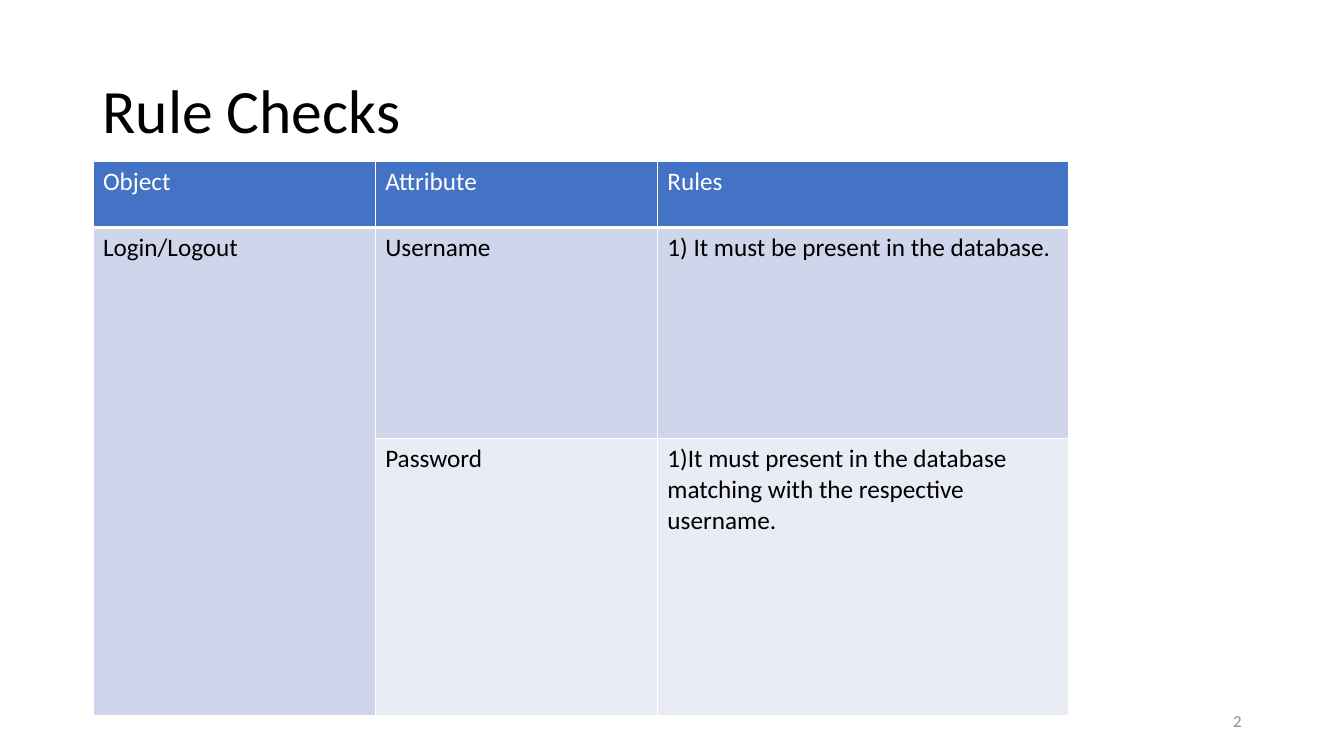
"""Build the Rule Checks slide with its table of login rules."""
from lxml.etree import SubElement
from pptx import Presentation
from pptx.dml.color import RGBColor
from pptx.enum.text import MSO_ANCHOR, PP_ALIGN
from pptx.oxml.ns import qn
from pptx.util import Pt

COLORS = {
    "text": "000000",
    "white": "FFFFFF",
    "muted": "8C8C8C",
    "header": "4472C4",
    "band_dark": "CFD5EA",
    "band_light": "E9EBF5",
}


class SlideBuilder:
    """Hold the style and the current slide, and add elements to it."""

    font_name = "Calibri"

    def __init__(self, presentation):
        """Add a title-only slide to the presentation."""
        self.slide = presentation.slides.add_slide(presentation.slide_layouts[5])

    def format_text(self, text_frame, size, color, align=PP_ALIGN.LEFT):
        """Set font and alignment on every paragraph."""
        for paragraph in text_frame.paragraphs:
            paragraph.alignment = align
            paragraph.font.name = self.font_name
            paragraph.font.size = Pt(size)
            paragraph.font.bold = False
            paragraph.font.color.rgb = RGBColor.from_string(COLORS[color])

    def title(self, text, left, top, width, height):
        """Fill and place the title placeholder."""
        shape = self.slide.shapes.title
        shape.left, shape.top = Pt(left), Pt(top)
        shape.width, shape.height = Pt(width), Pt(height)
        text_frame = shape.text_frame
        text_frame.text = text
        text_frame.vertical_anchor = MSO_ANCHOR.MIDDLE
        text_frame.paragraphs[0].line_spacing = 0.9
        self.format_text(text_frame, 44, "text")

    def page_number(self, text, left, top, width, height):
        """Add the right-aligned page number."""
        shape = self.slide.shapes.add_textbox(Pt(left), Pt(top), Pt(width), Pt(height))
        text_frame = shape.text_frame
        text_frame.word_wrap = True
        text_frame.text = text
        text_frame.vertical_anchor = MSO_ANCHOR.MIDDLE
        self.format_text(text_frame, 12, "muted", PP_ALIGN.RIGHT)

    def cell_borders(self, cell, top_width, bottom_width):
        """Draw white lines on the four sides of a cell."""
        properties = cell._tc.get_or_add_tcPr()
        widths = {"lnL": 1, "lnR": 1, "lnT": top_width, "lnB": bottom_width}
        for side, width in widths.items():
            line = SubElement(properties, qn(f"a:{side}"), w=str(Pt(width)))
            fill = SubElement(line, qn("a:solidFill"))
            SubElement(fill, qn("a:srgbClr"), val=COLORS["white"])

    def table(self, rows, left, top, column_widths, row_heights, row_fills):
        """Add a table with a header row and banded body rows."""
        table = self.slide.shapes.add_table(
            len(rows), len(column_widths), Pt(left), Pt(top),
            Pt(sum(column_widths)), Pt(sum(row_heights))).table
        for column, width in zip(table.columns, column_widths):
            column.width = Pt(width)
        for row_index, (texts, height, fill) in enumerate(zip(rows, row_heights, row_fills)):
            table.rows[row_index].height = Pt(height)
            for column_index, text in enumerate(texts):
                cell = table.cell(row_index, column_index)
                cell.text = text
                self.format_text(cell.text_frame, 18, "text" if row_index else "white")
                self.cell_borders(cell, 3 if row_index == 1 else 1, 1 if row_index else 3)
                cell.fill.solid()
                cell.fill.fore_color.rgb = RGBColor.from_string(COLORS[fill])
        return table


presentation = Presentation()
presentation.slide_width, presentation.slide_height = Pt(960), Pt(540)
builder = SlideBuilder(presentation)
builder.title("Rule Checks", 66, 28.8, 828, 104.4)
builder.page_number("2", 678, 500.5, 216, 28.8)
rules_table = builder.table(
    [
        ["Object", "Attribute", "Rules"],
        ["Login/Logout", "Username", "1) It must be present in the database."],
        ["", "Password",
         "1)It must present in the database matching with the respective username."],
    ],
    66.4, 115.4, [201.6, 201.6, 293.8], [47, 151, 198],
    ["header", "band_dark", "band_light"])
rules_table.cell(1, 0).merge(rules_table.cell(2, 0))
presentation.save("out.pptx")
